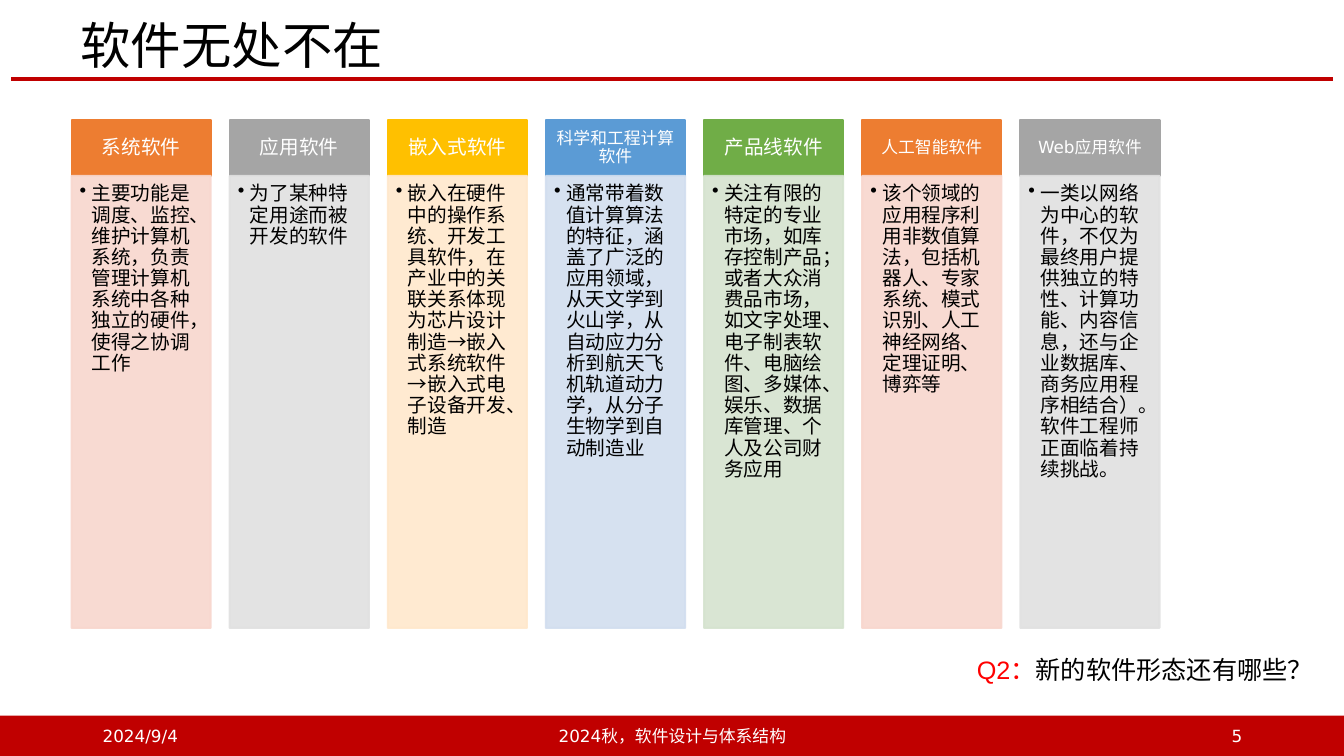
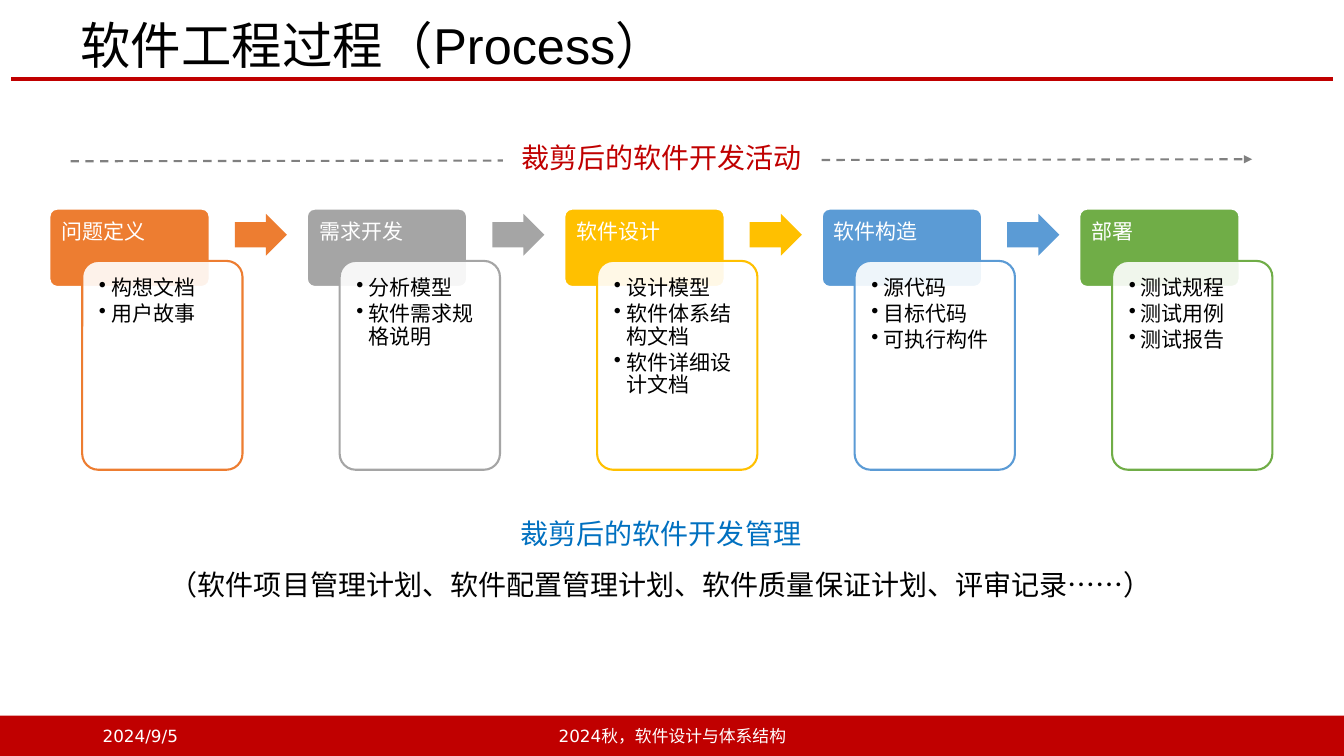
from itertools import cycle

from lxml import etree
from pptx import Presentation
from pptx.dml.color import RGBColor
from pptx.enum.dml import MSO_LINE
from pptx.enum.lang import MSO_LANGUAGE_ID
from pptx.enum.shapes import MSO_CONNECTOR, MSO_SHAPE
from pptx.enum.text import MSO_ANCHOR, PP_ALIGN
from pptx.oxml.ns import qn
from pptx.util import Inches, Pt

RECT, ROUND, ARROW = MSO_SHAPE.RECTANGLE, MSO_SHAPE.ROUNDED_RECTANGLE, MSO_SHAPE.RIGHT_ARROW
LINE, DASH = MSO_CONNECTOR.STRAIGHT, MSO_LINE.DASH
TOP, MIDDLE = MSO_ANCHOR.TOP, MSO_ANCHOR.MIDDLE
LEFT, CENTER, RIGHT = PP_ALIGN.LEFT, PP_ALIGN.CENTER, PP_ALIGN.RIGHT
CHINESE = MSO_LANGUAGE_ID.SIMPLIFIED_CHINESE

WIDE, HIGH = 13.33, 7.5
HEAD, BODY = "Arial", "DejaVu Sans"
RED, WHITE, BLACK, GREY, BLUE = "C00000", "FFFFFF", "000000", "808080", "0070C0"
ACCENTS = ["ED7D31", "A5A5A5", "FFC000", "5B9BD5", "70AD47"]
TINTS = ["F8D7CE", "E1E1E1", "FFE8CC", "D2DEEF", "D5E3CF"]
INSET = (0.1, 0.05, 0.1, 0.05)

KINDS = [
    ("系统软件", 14, "主要功能是调度、监控、维护计算机系统，负责管理计算机系统中各种独立的硬件，使得之协调工作"),
    ("应用软件", 14, "为了某种特定用途而被开发的软件"),
    ("嵌入式软件", 14, "嵌入在硬件中的操作系统、开发工具软件，在产业中的关联关系体现为芯片设计制造→嵌入式系统软件→嵌入式电子设备开发、制造"),
    ("科学和工程计算软件", 12, "通常带着数值计算算法的特征，涵盖了广泛的应用领域，从天文学到火山学，从自动应力分析到航天飞机轨道动力学，从分子生物学到自动制造业"),
    ("产品线软件", 14, "关注有限的特定的专业市场，如库存控制产品；或者大众消费品市场，如文字处理、电子制表软件、电脑绘图、多媒体、娱乐、数据库管理、个人及公司财务应用"),
    ("人工智能软件", 12, "该个领域的应用程序利用非数值算法，包括机器人、专家系统、模式识别、人工神经网络、定理证明、博弈等"),
    ("Web应用软件", 12, "一类以网络为中心的软件，不仅为最终用户提供独立的特性、计算功能、内容信息，还与企业数据库、商务应用程序相结合）。软件工程师正面临着持续挑战。"),
]
STAGES = [
    ("问题定义", ["构想文档", "用户故事"]),
    ("需求开发", ["分析模型", "软件需求规格说明"]),
    ("软件设计", ["设计模型", "软件体系结构文档", "软件详细设计文档"]),
    ("软件构造", ["源代码", "目标代码", "可执行构件"]),
    ("部署", ["测试规程", "测试用例", "测试报告"]),
]


def ink(code):
    return RGBColor.from_string(code)


def part(box, left, top, width, height):
    """Return the box covering the given shares of a larger box."""
    x, y, w, h = box
    return x + left * w, y + top * h, width * w, height * h


def split(box, count, share):
    """Cut a box into equal columns, each filling a share of its step."""
    x, y, w, h = box
    step = w / (count - 1 + share)
    return [(x + i * step, y, share * step, h) for i in range(count)]


def dress(run, size, color, font=BODY):
    run.font.size, run.font.name = Pt(size), font
    run.font.color.rgb = ink(color)
    run.font.language_id = CHINESE


def bullet(para):
    props = para._p.get_or_add_pPr()
    props.set("marL", str(Inches(0.12)))
    props.set("indent", str(-Inches(0.12)))
    etree.SubElement(props, qn("a:buChar")).set("char", "•")


def write(shape, lines, size, color, font=BODY, align=LEFT, anchor=TOP,
          inset=INSET, space=1, dots=False):
    frame = shape.text_frame
    frame.word_wrap, frame.vertical_anchor = True, anchor
    (frame.margin_left, frame.margin_top,
     frame.margin_right, frame.margin_bottom) = map(Inches, inset)
    frame.text = "\n".join(lines)
    for para in frame.paragraphs:
        if dots:
            bullet(para)
            para.space_after = Pt(0.15 * size)
        para.alignment, para.line_spacing = align, space
        dress(para.runs[0], size, color, font)


def label(slide, box, lines, size, color, **style):
    text = slide.shapes.add_textbox(*map(Inches, box))
    write(text, lines, size, color, **style)
    return text


def block(slide, kind, box, fill, line=None, clear=False):
    shape = slide.shapes.add_shape(kind, *map(Inches, box))
    shape.shadow.inherit = False
    shape.fill.solid()
    shape.fill.fore_color.rgb = ink(fill)
    if line:
        shape.line.color.rgb = ink(line)
        shape.line.width = Pt(1.5)
    else:
        shape.line.fill.background()
    if clear:
        for color in shape.element.spPr.iter(qn("a:srgbClr")):
            if color.get("val") == fill:
                etree.SubElement(color, qn("a:alpha")).set("val", "90000")
    return shape


def rule(slide, ends, color, width):
    line = slide.shapes.add_connector(LINE, *map(Inches, ends))
    line.line.color.rgb, line.line.width = ink(color), Pt(width)
    etree.SubElement(line.element.spPr, qn("a:effectLst"))
    return line


def base(deck, title, date, number=None):
    """Add a slide with the shared title, rule and footer band."""
    slide = deck.slides.add_slide(deck.slide_layouts[6])
    rule(slide, (0.11, 0.78, 13.22, 0.78), RED, 3)
    band = (0, 7.1, WIDE, 0.4)
    block(slide, RECT, band, RED)
    label(slide, (0.7, 0.18, 11.71, 0.6), [title], 36, BLACK,
          font=HEAD, anchor=MIDDLE, space=0.9)
    foot = [(0.92, 3, date, LEFT), (4.42, 4.5, "2024秋，软件设计与体系结构", CENTER)]
    if number:
        foot.append((9.42, 3, number, RIGHT))
    for left, width, text, align in foot:
        label(slide, (left, band[1], width, band[3]), [text], 12, WHITE,
              align=align, anchor=MIDDLE)
    return slide


def column(slide, box, kind, accent, tint):
    name, size, text = kind
    head = block(slide, RECT, part(box, 0, 0, 1, 0.11), accent, accent)
    write(head, [name], size, WHITE, align=CENTER, anchor=MIDDLE,
          inset=(0.09, 0.05, 0.09, 0.05), space=0.9)
    body = block(slide, RECT, part(box, 0, 0.11, 1, 0.89), tint, tint, clear=True)
    write(body, [text], 14, BLACK, inset=(0.08, 0.08, 0.11, 0.12), space=0.9, dots=True)


def stage(slide, box, name, items, accent, last):
    head = block(slide, ROUND, part(box, 0, 0, 0.83, 0.3), accent, WHITE)
    card = block(slide, ROUND, part(box, 0.17, 0.2, 0.83, 0.8), WHITE, accent, clear=True)
    head.adjustments[0] = card.adjustments[0] = 0.1
    write(head, [name], 15, WHITE, inset=(0.1, 0.1, 0.1, 0.06), space=0.9)
    write(card, items, 15, BLACK, inset=(0.12,) * 4, space=0.9, dots=True)
    if not last:
        arrow = block(slide, ARROW, part(box, 0.96, 0.02, 0.27, 0.16), accent)
        arrow.adjustments[0] = 0.6


def kinds(deck):
    slide = base(deck, "软件无处不在", "2024/9/4", "5")
    ask = label(slide, (9.59, 6.44, 3.63, 0.4), ["Q2："], 18, "FF0000", font=HEAD)
    run = ask.text_frame.paragraphs[0].add_run()
    run.text = "新的软件形态还有哪些？"
    dress(run, 18, BLACK, HEAD)
    boxes = split((0.71, 1.19, 10.79, 5.04), len(KINDS), 0.88)
    for box, kind, accent, tint in zip(boxes, KINDS, cycle(ACCENTS), cycle(TINTS)):
        column(slide, box, kind, accent, tint)


def process(deck):
    slide = base(deck, "软件工程过程（Process）", "2024/9/5")
    flow = rule(slide, (0.7, 1.6, 12.42, 1.58), GREY, 1.5)
    flow.line.dash_style = DASH
    etree.SubElement(flow.line._get_or_add_ln(), qn("a:tailEnd")).set("type", "triangle")
    boxes = split((0.49, 2.07, 12.13, 2.59), len(STAGES), 0.75)
    for box, (name, items), accent in zip(boxes, STAGES, ACCENTS):
        stage(slide, box, name, items, accent, box == boxes[-1])
    plan = label(slide, (0.48, 4.91, 12.15, 1.05),
                 ["裁剪后的软件开发管理",
                  "（软件项目管理计划、软件配置管理计划、软件质量保证计划、评审记录……）"],
                 20, BLACK, align=CENTER, space=1.5)
    dress(plan.text_frame.paragraphs[0].runs[0], 20, BLUE)
    sign = block(slide, RECT, (4.99, 1.34, 3.14, 0.44), WHITE)
    write(sign, ["裁剪后的软件开发活动"], 20, RED, align=CENTER)


def main():
    deck = Presentation()
    deck.slide_width, deck.slide_height = Inches(WIDE), Inches(HIGH)
    kinds(deck)
    process(deck)
    deck.save("out.pptx")


if __name__ == "__main__":
    main()
